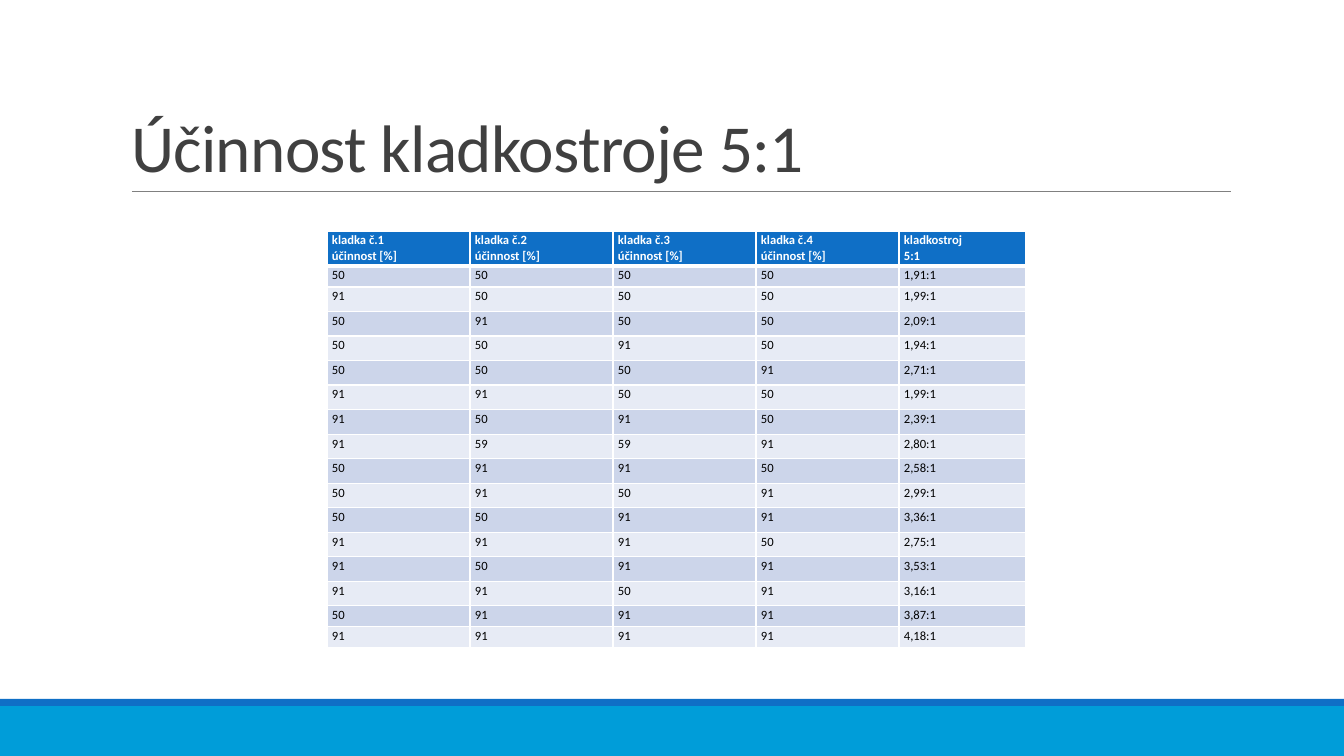
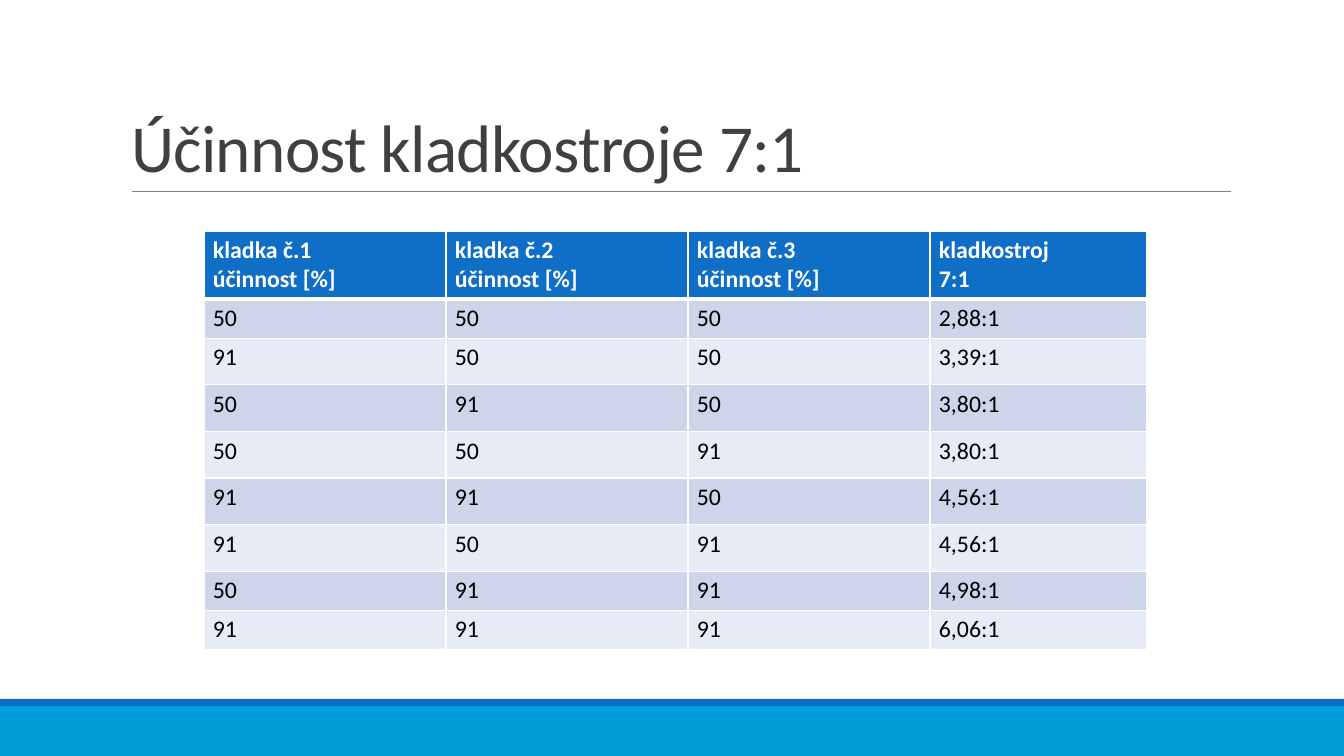
from copy import deepcopy
from dataclasses import dataclass

from lxml.etree import SubElement
from pptx import Presentation
from pptx.dml.color import RGBColor
from pptx.enum.shapes import MSO_CONNECTOR, MSO_SHAPE
from pptx.enum.text import MSO_ANCHOR, MSO_AUTO_SIZE, PP_ALIGN
from pptx.oxml.ns import qn
from pptx.slide import Slide, SlideLayout
from pptx.table import _Cell as Cell
from pptx.text.text import _Run as Run
from pptx.util import Emu, Pt

SLIDE_W, SLIDE_H = 1344, 756
EMU_PER_PX = 12192000 / SLIDE_W

WHITE = RGBColor(0xFF, 0xFF, 0xFF)
BLACK = RGBColor(0x00, 0x00, 0x00)
TITLE_GREY = RGBColor(0x40, 0x40, 0x40)
RULE_GREY = RGBColor(0x80, 0x80, 0x80)
DARK_BLUE = RGBColor(0x0F, 0x6F, 0xC6)
BRIGHT_BLUE = RGBColor(0x00, 0x9D, 0xD9)
ROW_FILLS = (RGBColor(0xCC, 0xD5, 0xEA), RGBColor(0xE7, 0xEB, 0xF5))

FONT = "Calibri"
TITLE_BOX = (121, 31, 1109, 160)
RULE_Y, RULE_LEFT, RULE_RIGHT = 191, 132, 1231
TABLE_TOP, TABLE_H = 231, 417
THIN, THICK = Pt(1), Pt(3)


@dataclass(frozen=True)
class Band:
    top: int
    height: int
    color: RGBColor


@dataclass(frozen=True)
class Efficiency:
    """One slide: its title and the table of pulley efficiencies."""
    title: str
    left: int
    columns: tuple[int, ...]
    header_h: int
    edge_h: int
    inset_x: int
    inset_y: int
    size: int
    headers: tuple[str, ...]
    results: str


BANDS = (Band(706, 50, BRIGHT_BLUE), Band(699, 7, DARK_BLUE))

SLIDES = (
    Efficiency(
        "Účinnost kladkostroje 5:1", 327, (143, 143, 143, 143, 127), 35, 21, 5, 2, 9,
        ("kladka č.1 \núčinnost [%]", "kladka č.2\núčinnost [%]",
         "kladka č.3\núčinnost [%]", "kladka č.4\núčinnost [%]",
         "kladkostroj\n5:1"),
        """50 50 50 50 1,91:1
        91 50 50 50 1,99:1
        50 91 50 50 2,09:1
        50 50 91 50 1,94:1
        50 50 50 91 2,71:1
        91 91 50 50 1,99:1
        91 50 91 50 2,39:1
        91 59 59 91 2,80:1
        50 91 91 50 2,58:1
        50 91 50 91 2,99:1
        50 50 91 91 3,36:1
        91 91 91 50 2,75:1
        91 50 91 91 3,53:1
        91 91 50 91 3,16:1
        50 91 91 91 3,87:1
        91 91 91 91 4,18:1"""),
    Efficiency(
        "Účinnost kladkostroje 7:1", 204, (242, 242, 242, 217), 67, 39, 9, 5, 17,
        ("kladka č.1 \núčinnost [%]", "kladka č.2 \núčinnost [%]",
         "kladka č.3 \núčinnost [%]", "kladkostroj\n7:1"),
        """50 50 50 2,88:1
        91 50 50 3,39:1
        50 91 50 3,80:1
        50 50 91 3,80:1
        91 91 50 4,56:1
        91 50 91 4,56:1
        50 91 91 4,98:1
        91 91 91 6,06:1"""),
)


def px(length: float) -> Emu:
    return Emu(round(length * EMU_PER_PX))


def apply(target: object, values: dict[str, object]) -> None:
    for attribute, value in values.items():
        setattr(target, attribute, value)


def format_run(run: Run, size: int, color: RGBColor, bold: bool = False) -> None:
    apply(run.font, {"name": FONT, "size": Pt(size), "bold": bold})
    run.font.color.rgb = color


def decorate_layout(layout: SlideLayout, slide: Slide) -> None:
    """Draw the bands and title rule, then move them to the shared layout."""
    decorations = []
    for band in BANDS:
        strip = slide.shapes.add_shape(
            MSO_SHAPE.RECTANGLE, 0, px(band.top), px(SLIDE_W), px(band.height))
        strip.shadow.inherit = False
        strip.fill.solid()
        strip.fill.fore_color.rgb = band.color
        strip.line.fill.background()
        decorations.append(strip)
    rule = slide.shapes.add_connector(
        MSO_CONNECTOR.STRAIGHT, px(RULE_LEFT), px(RULE_Y), px(RULE_RIGHT), px(RULE_Y))
    rule.line.color.rgb = RULE_GREY
    rule.line.width = Pt(0.5)
    SubElement(rule.element.spPr, qn("a:effectLst"))
    decorations.append(rule)
    for decoration in decorations:
        layout.shapes.element.append(decoration.element)


def add_title(slide: Slide, text: str) -> None:
    title = slide.shapes.title
    apply(title, dict(zip(("left", "top", "width", "height"), map(px, TITLE_BOX))))
    frame = title.text_frame
    apply(frame, {"vertical_anchor": MSO_ANCHOR.BOTTOM, "word_wrap": True,
                  "auto_size": MSO_AUTO_SIZE.NONE})
    paragraph = frame.paragraphs[0]
    apply(paragraph, {"text": text, "alignment": PP_ALIGN.LEFT, "line_spacing": 0.85})
    run = paragraph.runs[0]
    format_run(run, 48, TITLE_GREY)
    run.font._element.set("spc", "-50")


def add_borders(cell: Cell, top: int, bottom: int) -> None:
    properties = cell._tc.get_or_add_tcPr()
    widths = {"a:lnL": THIN, "a:lnR": THIN, "a:lnT": top, "a:lnB": bottom}
    for index, (side, width) in enumerate(widths.items()):
        border = SubElement(properties, qn(side), w=str(int(width)))
        SubElement(SubElement(border, qn("a:solidFill")), qn("a:srgbClr"), val=str(WHITE))
        properties.insert(index, border)


def fill_cell(cell: Cell, text: str, row: int, content: Efficiency) -> None:
    header = row == 0
    apply(cell, {"margin_left": px(content.inset_x), "margin_right": px(content.inset_x),
                 "margin_top": px(content.inset_y), "margin_bottom": px(content.inset_y),
                 "vertical_anchor": MSO_ANCHOR.TOP})
    cell.fill.solid()
    cell.fill.fore_color.rgb = DARK_BLUE if header else ROW_FILLS[(row - 1) % 2]
    add_borders(cell, THICK if row == 1 else THIN, THICK if header else THIN)
    paragraph = cell.text_frame.paragraphs[0]
    paragraph.text = text
    for run in paragraph.runs:
        format_run(run, content.size, WHITE if header else BLACK, header)
    for line_break in cell._tc.iter(qn("a:br")):
        line_break.insert(0, deepcopy(paragraph.runs[0].font._element))


def row_heights(content: Efficiency, count: int) -> list[float]:
    """The first and last two results are low; the others share what is left."""
    edge = content.edge_h
    middle = (TABLE_H - content.header_h - 3 * edge) / (count - 4)
    return [content.header_h, edge, *[middle] * (count - 4), edge, edge]


def add_efficiency_table(slide: Slide, content: Efficiency) -> None:
    rows = [content.headers, *(line.split() for line in content.results.splitlines())]
    table = slide.shapes.add_table(
        len(rows), len(content.columns), px(content.left), px(TABLE_TOP),
        px(sum(content.columns)), px(TABLE_H)).table
    for column, width in zip(table.columns, content.columns):
        column.width = px(width)
    for table_row, height in zip(table.rows, row_heights(content, len(rows))):
        table_row.height = px(height)
    for row, texts in enumerate(rows):
        for column, text in enumerate(texts):
            fill_cell(table.cell(row, column), text, row, content)


def main() -> None:
    deck = Presentation()
    apply(deck, {"slide_width": px(SLIDE_W), "slide_height": px(SLIDE_H)})
    layout = deck.slide_layouts.get_by_name("Title Only")
    for index, content in enumerate(SLIDES):
        slide = deck.slides.add_slide(layout)
        if index == 0:
            decorate_layout(layout, slide)
        add_title(slide, content.title)
        add_efficiency_table(slide, content)
    deck.save("out.pptx")


if __name__ == "__main__":
    main()
